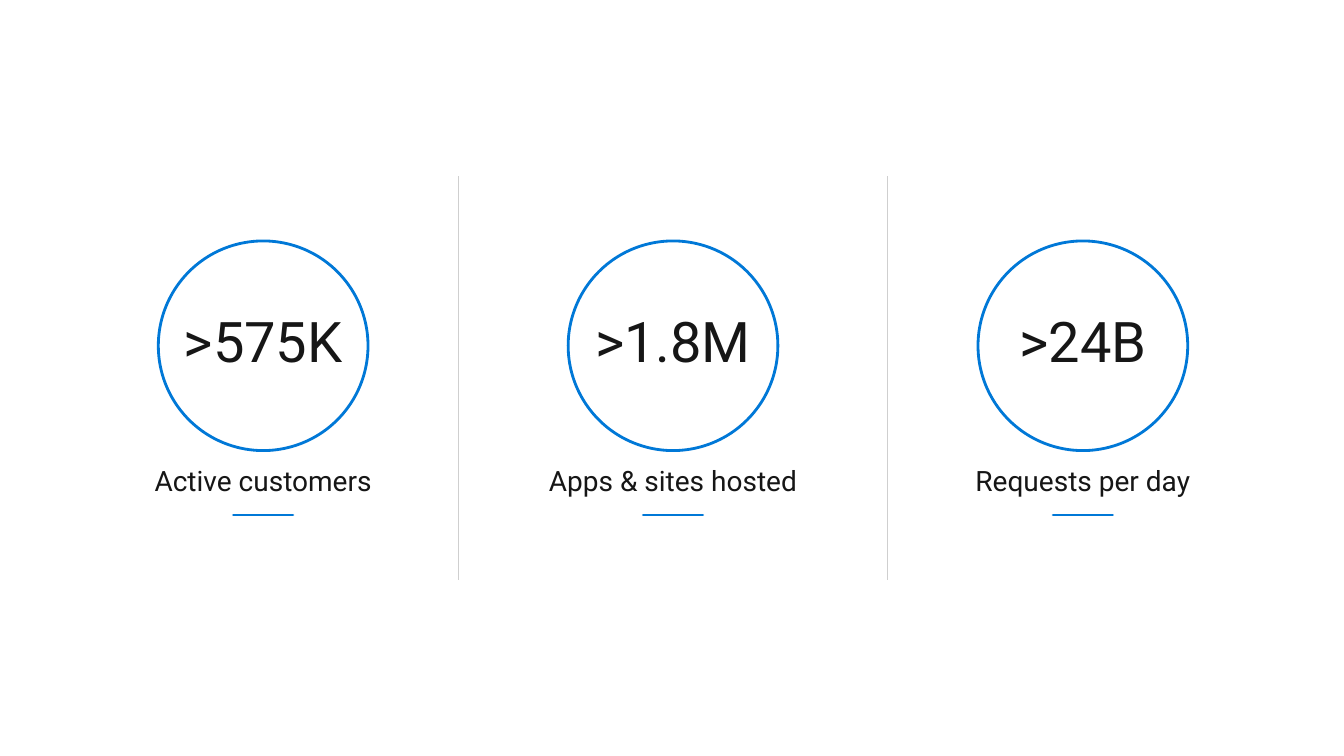
from lxml import etree
from pptx import Presentation
from pptx import util as u
from pptx.dml.color import RGBColor
from pptx.enum import shapes, text
from pptx.oxml.ns import qn

BLUE = RGBColor(0x00, 0x78, 0xD7)
INK = RGBColor(0x16, 0x16, 0x16)
GREY = RGBColor(0xCF, 0xCF, 0xCF)
FONT = "Roboto"

STATS = [
    (">575K", 1.62, "Active customers", 2.22),
    (">1.8M", 1.61, "Apps & sites hosted", 2.59),
    (">24B", 1.31, "Requests per day", 2.21),
]
FIRST_CIRCLE, LAST_CIRCLE = 1.57, 9.7
CIRCLE_TOP, CIRCLE_SIZE = 2.39, 2.08
UNDERLINE_WIDTH = 0.59
DIVIDERS = (4.55, 8.8)
DIVIDER_TOP, DIVIDER_HEIGHT = 1.75, 4


def add_rule(slide, start, end, color, weight, cap="flat"):
    """Draw a straight rule between two points."""
    rule = slide.shapes.add_connector(
        shapes.MSO_CONNECTOR.STRAIGHT, *map(u.Inches, (*start, *end)))
    rule.line.color.rgb = color
    rule.line.width = u.Pt(weight)
    properties = rule._element.spPr
    properties.find(qn("a:ln")).set("cap", cap)
    etree.SubElement(properties, qn("a:effectLst"))


def add_centered_text(slide, center, top, width, height, wording, size, after=0):
    """Place one line of text centred on a vertical axis."""
    box = slide.shapes.add_textbox(
        *map(u.Inches, (center - width / 2, top, width, height)))
    frame = box.text_frame
    frame.margin_left = frame.margin_right = 0
    frame.margin_top = frame.margin_bottom = 0
    frame.word_wrap = False
    frame.auto_size = text.MSO_AUTO_SIZE.SHAPE_TO_FIT_TEXT
    line = frame.paragraphs[0]
    line.alignment = text.PP_ALIGN.CENTER
    line.line_spacing = 0.9
    line.space_after = u.Pt(after)
    run = line.add_run()
    run.text = wording
    run.font.name = FONT
    run.font.size = u.Pt(size)
    run.font.color.rgb = INK


def add_stat(slide, left, top, size, number, number_width, label, label_width):
    """Draw a circled number with its underlined label below."""
    center = left + size / 2
    circle = slide.shapes.add_shape(
        shapes.MSO_SHAPE.OVAL, *map(u.Inches, (left, top, size, size)))
    circle.shadow.inherit = False
    circle.fill.background()
    circle.line.color.rgb = BLUE
    circle.line.width = u.Pt(2)
    add_centered_text(slide, center, top + 0.73, number_width, 0.61, number, 40, 5.9)
    add_centered_text(slide, center, top + size + 0.17, label_width, 0.3, label, 20)
    underline_y = top + size + 0.64
    add_rule(slide, (center - UNDERLINE_WIDTH / 2, underline_y),
             (center + UNDERLINE_WIDTH / 2, underline_y), BLUE, 2, "rnd")


def add_dividers(slide, top, height):
    """Draw the vertical rules between the statistics."""
    for x in DIVIDERS:
        add_rule(slide, (x, top), (x, top + height), GREY, 0.75)


def main():
    """Build and save the statistics slide."""
    deck = Presentation()
    deck.slide_width, deck.slide_height = u.Inches(13.33), u.Inches(7.5)
    slide = deck.slides.add_slide(deck.slide_layouts[6])
    add_dividers(slide, DIVIDER_TOP, DIVIDER_HEIGHT)
    step = (LAST_CIRCLE - FIRST_CIRCLE) / (len(STATS) - 1)
    for column, stat in enumerate(STATS):
        add_stat(slide, FIRST_CIRCLE + column * step, CIRCLE_TOP, CIRCLE_SIZE, *stat)
    deck.save("out.pptx")


if __name__ == "__main__":
    main()
